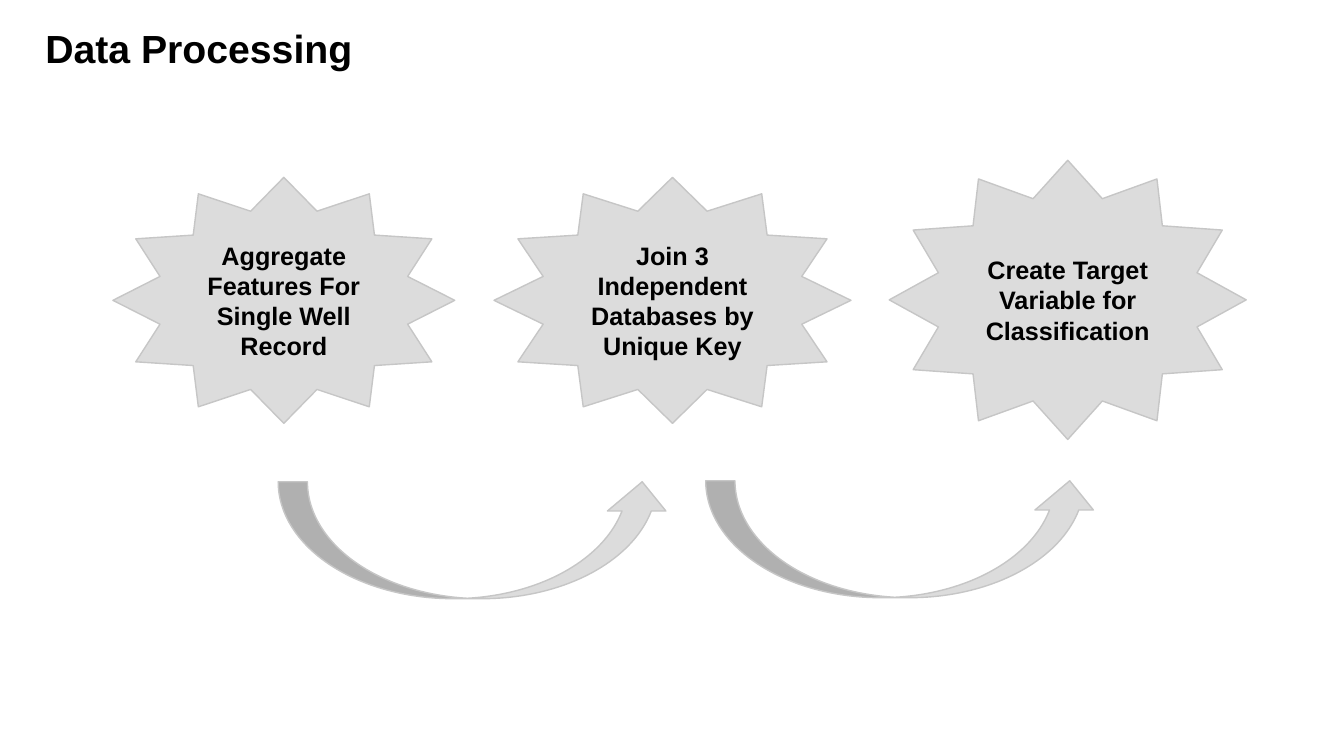
from dataclasses import dataclass

from pptx import Presentation
from pptx.dml.color import RGBColor
from pptx.enum.shapes import MSO_SHAPE
from pptx.enum.text import MSO_ANCHOR, MSO_AUTO_SIZE, PP_ALIGN
from pptx.shapes.autoshape import Shape
from pptx.slide import Slide
from pptx.text.text import TextFrame
from pptx.util import Emu, Pt

PX = 9144  # EMU per px, 100 px to the inch


@dataclass(frozen=True)
class Theme:
    font: str = "Arial"
    ink: RGBColor = RGBColor(0x00, 0x00, 0x00)
    paper: RGBColor = RGBColor(0xFF, 0xFF, 0xFF)
    fill: RGBColor = RGBColor(0xDC, 0xDC, 0xDC)
    outline: RGBColor = RGBColor(0xC6, 0xC6, 0xC6)
    outline_width: Pt = Pt(1)
    title_size: Pt = Pt(28)
    step_size: Pt = Pt(18)


@dataclass(frozen=True)
class Box:
    left: int
    top: int
    width: int
    height: int

    def emu(self) -> tuple[Emu, ...]:
        return tuple(Emu(v * PX) for v in (self.left, self.top, self.width, self.height))


@dataclass(frozen=True)
class Step:
    text: str
    box: Box


THEME = Theme()
TITLE_BOX = Box(45, 24, 1242, 95)
STEPS = [
    Step("Aggregate Features For Single Well Record", Box(112, 176, 339, 244)),
    Step("Join 3 Independent Databases by Unique Key", Box(490, 176, 354, 244)),
    Step("Create Target Variable for Classification", Box(882, 159, 354, 277)),
]
ARROWS = [Box(276, 478, 390, 116), Box(700, 477, 390, 116)]


def format_text(tf: TextFrame, size: Pt, align: PP_ALIGN) -> None:
    for p in tf.paragraphs:
        p.alignment = align
        for r in p.runs:
            r.font.name = THEME.font
            r.font.size = size
            r.font.bold = True
            r.font.color.rgb = THEME.ink


def add_title(s: Slide, text: str, box: Box) -> None:
    sp = s.shapes.title
    sp.left, sp.top, sp.width, sp.height = box.emu()
    tf = sp.text_frame
    tf.text = text
    tf.auto_size = MSO_AUTO_SIZE.NONE
    tf.vertical_anchor = MSO_ANCHOR.TOP
    tf.margin_left = 0
    tf.paragraphs[0].line_spacing = 0.9
    format_text(tf, THEME.title_size, PP_ALIGN.LEFT)


def add_grey_shape(s: Slide, kind: MSO_SHAPE, box: Box) -> Shape:
    sp = s.shapes.add_shape(kind, *box.emu())
    sp.shadow.inherit = False
    sp.fill.solid()
    sp.fill.fore_color.rgb = THEME.fill
    sp.line.color.rgb = THEME.outline
    sp.line.width = THEME.outline_width
    return sp


def add_step(s: Slide, step: Step) -> None:
    tf = add_grey_shape(s, MSO_SHAPE.STAR_12_POINT, step.box).text_frame
    tf.text = step.text
    tf.word_wrap = True
    tf.vertical_anchor = MSO_ANCHOR.MIDDLE
    format_text(tf, THEME.step_size, PP_ALIGN.CENTER)


def main() -> None:
    prs = Presentation()
    prs.slide_width, prs.slide_height = Emu(1333 * PX), Emu(750 * PX)
    s = prs.slides.add_slide(prs.slide_layouts[5])
    s.background.fill.solid()
    s.background.fill.fore_color.rgb = THEME.paper
    add_title(s, "Data Processing", TITLE_BOX)
    for step in STEPS:
        add_step(s, step)
    for box in ARROWS:
        add_grey_shape(s, MSO_SHAPE.CURVED_UP_ARROW, box)
    prs.save("out.pptx")


if __name__ == "__main__":
    main()
